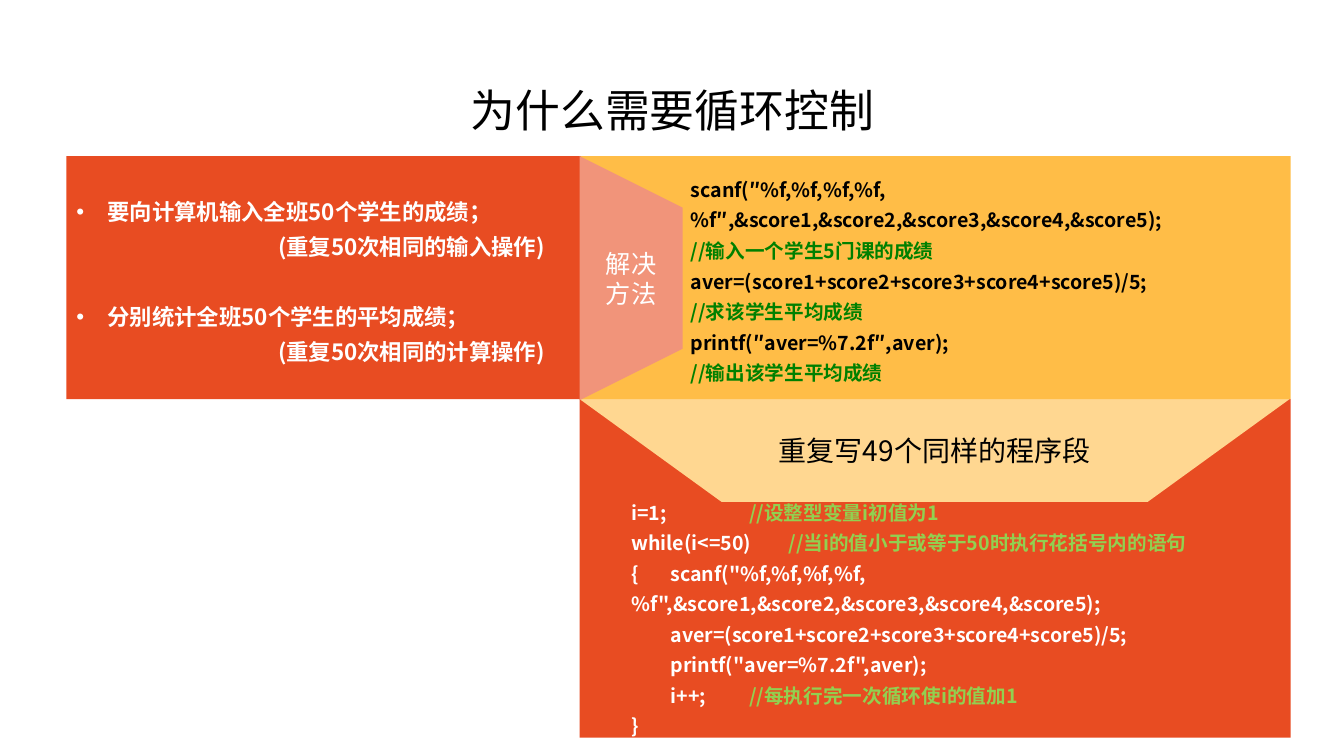
from dataclasses import dataclass

from lxml.etree import SubElement
from pptx import Presentation
from pptx.dml.color import RGBColor
from pptx.enum.shapes import MSO_SHAPE
from pptx.enum.text import MSO_ANCHOR, PP_ALIGN
from pptx.oxml.ns import qn
from pptx.util import Pt

PX = 9144  # EMU per px, 100 px to the inch


@dataclass(frozen=True)
class Theme:
    font: str = "Noto Sans CJK SC"
    red: str = "E84C22"
    amber: str = "FFBD47"
    sand: str = "FFD791"
    pink: str = "F1947A"
    white: str = "FFFFFF"
    black: str = "000000"
    green: str = "008000"
    lime: str = "92D050"
    title: int = 32
    step: int = 20
    label: int = 18
    body: int = 16
    code: int = 14


THEME = Theme()


def add_run(para, text, size, color, bold=False):
    run = para.add_run()
    run.text = text
    font = run.font
    font.size = Pt(size)
    font.bold = bold
    font.color.rgb = RGBColor.from_string(color)
    font.name = THEME.font
    SubElement(font._element, qn("a:ea")).set("typeface", THEME.font)


def paint(shape, color):
    shape.shadow.inherit = False
    shape.fill.solid()
    shape.fill.fore_color.rgb = RGBColor.from_string(color)
    shape.line.fill.background()


def add_box(slide, kind, box, color, pads=(7, 4, 7, 4)):
    """Add a filled shape; pads are left, top, right and bottom."""
    shape = slide.shapes.add_shape(kind, *(n * PX for n in box))
    paint(shape, color)
    frame = shape.text_frame
    frame.word_wrap = True
    frame.vertical_anchor = MSO_ANCHOR.MIDDLE
    sides = [n * PX for n in pads]
    frame.margin_left, frame.margin_top, frame.margin_right, frame.margin_bottom = sides
    return frame


def add_line(frame, first, align=PP_ALIGN.LEFT, lead=None):
    para = frame.paragraphs[0] if first else frame.add_paragraph()
    para.alignment = align
    if lead:
        para.line_spacing = Pt(lead)
    return para


def set_indent(para, left, hang=0):
    props = para._p.get_or_add_pPr()
    props.set("marL", str(left * PX))
    props.set("indent", str(-hang * PX))
    return props


def add_tabs(para, step, count):
    tabs = SubElement(para._p.get_or_add_pPr(), qn("a:tabLst"))
    for i in range(1, count + 1):
        tab = SubElement(tabs, qn("a:tab"))
        tab.set("pos", str(i * step * PX))
        tab.set("algn", "l")


def add_code(frame, lines, ink, note):
    """Write code lines; the part from // on takes the note colour."""
    for i, line in enumerate(lines):
        para = add_line(frame, i == 0, lead=21.8)
        add_tabs(para, 39, 6)
        code, mark, rest = line.partition("//")
        if code:
            add_run(para, code, THEME.code, ink, True)
        if mark:
            add_run(para, mark + rest, THEME.code, note, True)


def add_tasks(frame, tasks):
    for i, (task, repeat) in enumerate(tasks):
        head = add_line(frame, i == 0, lead=25)
        props = set_indent(head, 31, 31)
        SubElement(props, qn("a:buFont")).set("typeface", "Arial")
        SubElement(props, qn("a:buChar")).set("char", "•")
        if i:
            head.space_before = Pt(25)
        add_run(head, task, THEME.body, THEME.white, True)
        tail = add_line(frame, False, lead=25)
        set_indent(tail, 200)
        add_run(tail, repeat, THEME.body, THEME.white, True)


def add_wedge(slide, points, color, lines):
    pen = slide.shapes.build_freeform(*points[0], scale=PX)
    pen.add_line_segments(points[1:], close=True)
    shape = pen.convert_to_shape()
    paint(shape, color)
    frame = shape.text_frame
    frame.vertical_anchor = MSO_ANCHOR.MIDDLE
    for i, line in enumerate(lines):
        para = add_line(frame, i == 0, PP_ALIGN.CENTER, 21.5)
        add_run(para, line, THEME.label, THEME.white)


def add_title(slide, text):
    title = slide.shapes.title
    title.left, title.top, title.width, title.height = (
        n * PX for n in (92, 40, 1150, 145))
    title.text_frame.vertical_anchor = MSO_ANCHOR.MIDDLE
    para = add_line(title.text_frame, True, PP_ALIGN.CENTER)
    para.line_spacing = 0.9
    add_run(para, text, THEME.title, THEME.black)


def main():
    deck = Presentation()
    deck.slide_width, deck.slide_height = 1333 * PX, 750 * PX
    slide = deck.slides.add_slide(deck.slide_layouts[5])
    add_title(slide, "为什么需要循环控制")

    rect = MSO_SHAPE.RECTANGLE
    loop = add_box(slide, rect, (575, 396, 705, 336), THEME.red, (51, 98, 10, 4))
    add_code(loop, [
        "i=1;\t\t\t//设整型变量i初值为1",
        "while(i<=50)\t//当i的值小于或等于50时执行花括号内的语句",
        '{\tscanf("%f,%f,%f,%f,%f",&score1,&score2,&score3,&score4,&score5);',
        "\taver=(score1+score2+score3+score4+score5)/5;",
        '\tprintf("aver=%7.2f",aver);',
        "\ti++;\t\t//每执行完一次循环使i的值加1",
        "}",
    ], THEME.white, THEME.lime)

    step = add_box(slide, MSO_SHAPE.FLOWCHART_MANUAL_OPERATION,
                   (575, 396, 704, 102), THEME.sand)
    para = add_line(step, True, PP_ALIGN.CENTER)
    add_run(para, "重复写49个同样的程序段", THEME.step, THEME.black)

    once = add_box(slide, rect, (575, 155, 705, 241), THEME.amber, (110, 4, 10, 4))
    add_code(once, [
        "scanf(″%f,%f,%f,%f,%f″,&score1,&score2,&score3,&score4,&score5);",
        "//输入一个学生5门课的成绩",
        "aver=(score1+score2+score3+score4+score5)/5;",
        "//求该学生平均成绩",
        "printf(″aver=%7.2f″,aver);",
        "//输出该学生平均成绩",
    ], THEME.black, THEME.green)

    tasks = add_box(slide, rect, (66, 155, 510, 241), THEME.red, (10, 4, 10, 4))
    add_tasks(tasks, [
        ("要向计算机输入全班50个学生的成绩；", "(重复50次相同的输入操作)"),
        ("分别统计全班50个学生的平均成绩；", "(重复50次相同的计算操作)"),
    ])

    wedge = [(575, 155), (677, 206), (677, 346), (575, 397)]
    add_wedge(slide, wedge, THEME.pink, ["解决", "方法"])
    deck.save("out.pptx")


if __name__ == "__main__":
    main()
